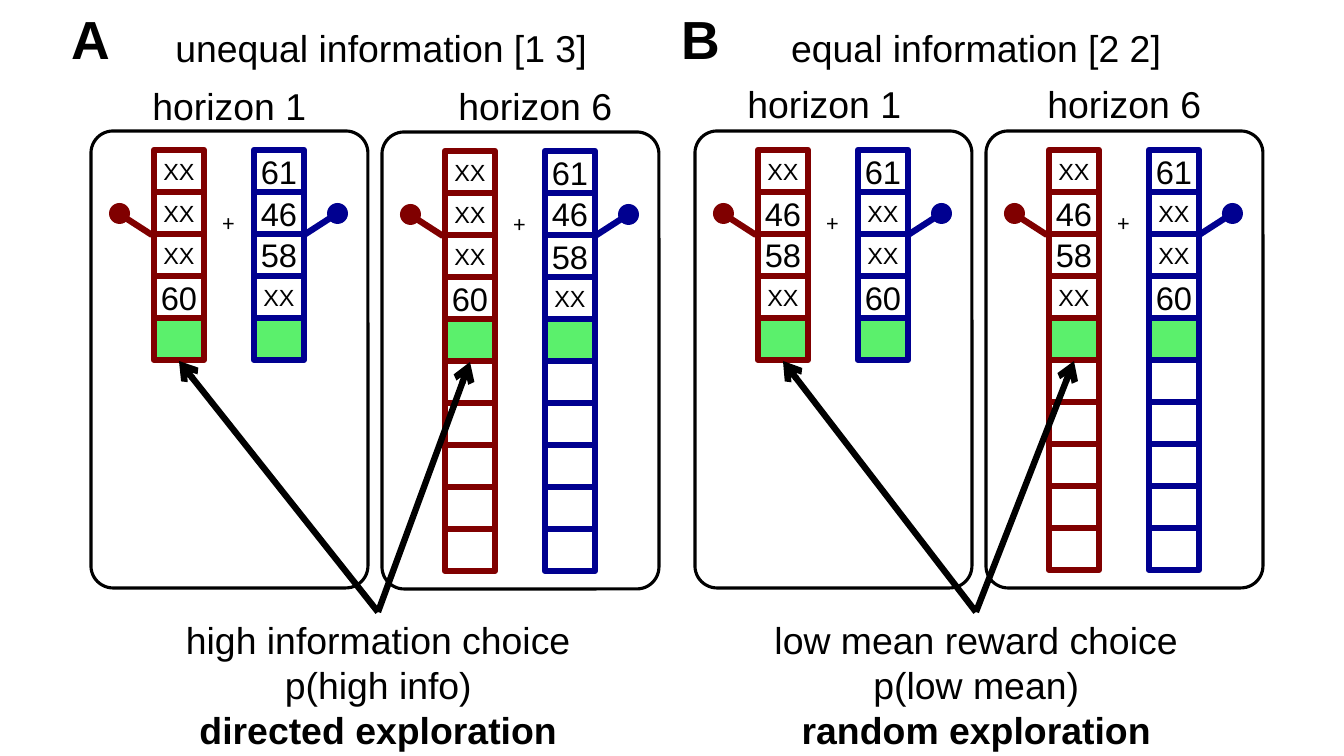
from dataclasses import dataclass
from lxml import etree
from pptx import Presentation
from pptx.dml.color import RGBColor
from pptx.enum.shapes import MSO_CONNECTOR, MSO_SHAPE
from pptx.enum.text import MSO_ANCHOR, MSO_AUTO_SIZE, PP_ALIGN
from pptx.oxml.ns import qn
from pptx.util import Emu, Pt

RECT, ROUNDED, OVAL = MSO_SHAPE.RECTANGLE, MSO_SHAPE.ROUNDED_RECTANGLE, MSO_SHAPE.OVAL
STRAIGHT = MSO_CONNECTOR.STRAIGHT
LEFT, CENTER = PP_ALIGN.LEFT, PP_ALIGN.CENTER
MIDDLE, GROW = MSO_ANCHOR.MIDDLE, MSO_AUTO_SIZE.SHAPE_TO_FIT_TEXT
PIXEL = 914400 / 100.8


@dataclass(frozen=True)
class Theme:
    black: str = "000000"
    red: str = "800000"
    blue: str = "000090"
    green: str = "5BF06C"
    font: str = "Arial"
    plus_font: str = "Calibri"
    letter: float = 38.3
    label: float = 26.7
    reward: float = 23.3
    small: float = 16.7
    thick: float = 4.5
    outline: float = 2.25


@dataclass(frozen=True)
class Condition:
    letter: str
    title: str
    caption: tuple
    red_values: tuple
    blue_values: tuple
    box: tuple
    title_left: int
    horizons: tuple  # left and top of each horizon label
    panels: tuple  # left and top of each panel
    caption_span: tuple  # left and width
    arrow_left: int


THEME = Theme()
PANEL_WIDTH, PANEL_HEIGHT = 277, 457
CELL_WIDTH, CELL_HEIGHT = 50, 42
RED_LEFT, BLUE_LEFT, CELLS_TOP = 63, 163, 19
FORCED_TRIALS = 4
HORIZONS = (1, 6)

CONDITIONS = (
    Condition("A", "unequal information [1 3]",
              ("high information choice", "p(high info)", "directed exploration"),
              ("XX", "XX", "XX", "60"), ("61", "46", "58", "XX"),
              (62, 0, 610, 756), 29, ((29, 78), (335, 78)),
              ((29, 131), (320, 132)), (24, 585), 316),
    Condition("B", "equal information [2 2]",
              ("low mean reward choice", "p(low mean)", "random exploration"),
              ("XX", "46", "58", "XX"), ("61", "XX", "XX", "60"),
              (672, 0, 610, 756), 14, ((14, 76), (314, 76)),
              ((23, 131), (314, 131)), (14, 581), 304),
)


def emu(*pixels):
    return [Emu(round(pixel * PIXEL)) for pixel in pixels]


def color(value):
    return RGBColor.from_string(value)


def write(frame, lines, size, font=THEME.font, align=CENTER, bold_line=None):
    for index, line in enumerate(lines):
        para = frame.paragraphs[0] if index == 0 else frame.add_paragraph()
        para.alignment = align
        span = para.add_run()
        span.text = line
        span.font.name = font
        span.font.size = Pt(size)
        span.font.bold = index == bold_line
        span.font.color.rgb = color(THEME.black)


def add_text(page, box, lines, size, **style):
    frame = page.shapes.add_textbox(*emu(*box)).text_frame
    frame.word_wrap = True
    frame.auto_size = GROW
    write(frame, lines, size, **style)


def add_box(page, kind, box, fill=None, line=None, weight=THEME.thick):
    shape = page.shapes.add_shape(kind, *emu(*box))
    shape.shadow.inherit = False
    if fill:
        shape.fill.solid()
        shape.fill.fore_color.rgb = color(fill)
    else:
        shape.fill.background()
    if line:
        shape.line.color.rgb = color(line)
        shape.line.width = Pt(weight)
    else:
        shape.line.fill.background()
    return shape


def add_line(page, start, end, ink, arrow=False):
    connector = page.shapes.add_connector(STRAIGHT, *emu(*start, *end))
    connector.line.color.rgb = color(ink)
    connector.line.width = Pt(THEME.thick)
    if arrow:
        etree.SubElement(connector.line._get_or_add_ln(), qn("a:tailEnd"), type="arrow")
    etree.SubElement(connector._element.spPr, qn("a:effectLst"))


def draw_column(page, left, top, ink, values, horizon):
    """Forced trials, the green first free choice, then the remaining trials."""
    for row in range(FORCED_TRIALS + horizon):
        box = (left, top + row * CELL_HEIGHT, CELL_WIDTH, CELL_HEIGHT)
        fill = THEME.green if row == FORCED_TRIALS else None
        cell = add_box(page, RECT, box, fill, ink)
        if row < FORCED_TRIALS:
            value = values[row]
            cell.text_frame.word_wrap = False
            cell.text_frame.vertical_anchor = MIDDLE
            write(cell.text_frame, [value], THEME.small if value == "XX" else THEME.reward)


def draw_panel(page, box, condition, horizon):
    left, top, width, height = box
    # Fixation mark and frame
    add_text(page, (left + 121, top + 72, 33, 38), ["+"], THEME.small, font=THEME.plus_font)
    frame = add_box(page, ROUNDED, box, line=THEME.black, weight=THEME.outline)
    frame.adjustments[0] = 0.08
    # Two slot machines, each a lever with a knob and a column of trials
    machines = (
        (THEME.red, condition.red_values, RED_LEFT, 61, 30, 18),
        (THEME.blue, condition.blue_values, BLUE_LEFT, 213, 244, 236),
    )
    for ink, values, column, lever_start, lever_end, knob in machines:
        add_line(page, (left + lever_start, top + 104), (left + lever_end, top + 84), ink)
        add_box(page, OVAL, (left + knob, top + 72, 21, 21), fill=ink)
        draw_column(page, left + column, top + CELLS_TOP, ink, values, horizon)


def draw_condition(page, box, condition):
    left, top, width, height = box
    # Headings
    add_text(page, (left, top + 1, 116, 76), [condition.letter], THEME.letter,
             align=LEFT, bold_line=0)
    add_text(page, (left + condition.title_left, top + 20, 581, 55),
             [condition.title], THEME.label)
    for horizon, (x, y) in zip(HORIZONS, condition.horizons):
        add_text(page, (left + x, top + y, PANEL_WIDTH, 55),
                 [f"horizon {horizon}"], THEME.label)
    # Panels
    for horizon, (x, y) in zip(HORIZONS, condition.panels):
        draw_panel(page, (left + x, top + y, PANEL_WIDTH, PANEL_HEIGHT), condition, horizon)
    # Caption
    caption_left, caption_width = condition.caption_span
    add_text(page, (left + caption_left, top + 612, caption_width, 146),
             condition.caption, THEME.label, bold_line=2)
    # Arrows to the first free choice of the red machines
    for x, y in condition.panels:
        tip = (left + x + RED_LEFT + CELL_WIDTH // 2,
               top + y + CELLS_TOP + (FORCED_TRIALS + 1) * CELL_HEIGHT + 1)
        add_line(page, (left + condition.arrow_left, top + 612), tip, THEME.black, arrow=True)


deck = Presentation()
deck.slide_width, deck.slide_height = emu(1344, 756)
page = deck.slides.add_slide(deck.slide_layouts[6])
for condition in CONDITIONS:
    draw_condition(page, condition.box, condition)
deck.save("out.pptx")
